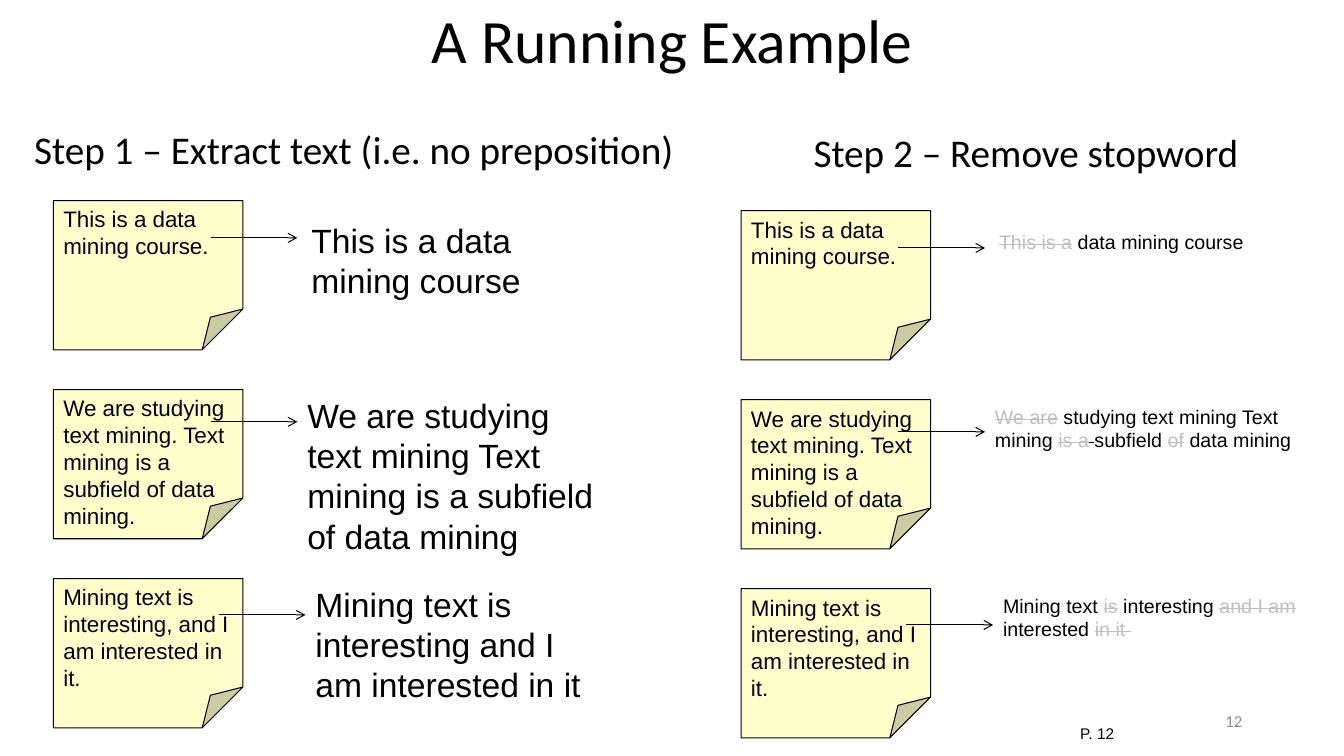
from lxml.etree import SubElement
from pptx import Presentation
from pptx.dml.color import RGBColor
from pptx.enum.shapes import MSO_CONNECTOR, MSO_SHAPE
from pptx.enum.text import MSO_ANCHOR, PP_ALIGN
from pptx.oxml.ns import qn
from pptx.util import Inches, Pt

BLACK = "000000"
KEPT = {"color": BLACK}
DROPPED = {"color": "BFBFBF", "strike": True}
STRUCK_GAP = {"color": BLACK, "strike": True}

GRID_TOP = 1.99
ROW_PITCH = 1.875
COLUMNS = [
    {"left": 0.53, "drop": 0, "size": 24},
    {"left": 7.35, "drop": 0.1, "size": 14},
]
NOTE_WIDTH, NOTE_HEIGHT = 1.88, 1.48
ARROW_LENGTH = 0.86

ROWS = [
    {
        "note": "This is a data mining course.",
        "arrow": (1.56, 0.37),
        "result": (2.46, 0.14),
        "sizes": [(2.99, 0.91), (3.02, 0.4)],
        "extracted": [("This is a data mining course", KEPT)],
        "filtered": [("This is a", DROPPED), (" data mining course", KEPT)],
    },
    {
        "note": "We are studying text mining. Text mining is a subfield of data mining.",
        "arrow": (1.56, 0.32),
        "result": (2.42, 0),
        "sizes": [(3.13, 1.72), (3.32, 0.57)],
        "extracted": [("We are studying text mining Text mining is a subfield of data mining", KEPT)],
        "filtered": [
            ("We are", DROPPED), (" studying text mining Text mining ", KEPT),
            ("is a", DROPPED), (" ", STRUCK_GAP), ("subfield ", KEPT),
            ("of", DROPPED), (" data mining", KEPT),
        ],
    },
    {
        "note": "Mining text is interesting, and I am interested in it.",
        "arrow": (1.64, 0.36),
        "result": (2.5, 0),
        "sizes": [(3.08, 1.31), (3.4, 0.71)],
        "extracted": [("Mining text is interesting and I am interested in it", KEPT)],
        "filtered": [
            ("Mining text ", KEPT), ("is", DROPPED), (" interesting ", KEPT),
            ("and I am ", DROPPED), ("interested ", KEPT), ("in it ", DROPPED),
        ],
    },
]


def rgb(color):
    return RGBColor.from_string(color)


def write(frame, spans, size, name="Arial", **layout):
    frame.word_wrap = True
    frame.vertical_anchor = layout.pop("anchor", MSO_ANCHOR.TOP)
    para = frame.paragraphs[0]
    for key, value in ({"alignment": PP_ALIGN.LEFT} | layout).items():
        setattr(para, key, value)
    for text, style in spans:
        span = para.add_run()
        span.text = text
        for key, value in {"name": name, "size": Pt(size)}.items():
            setattr(span.font, key, value)
        span.font.color.rgb = rgb(style["color"])
        if style.get("strike"):
            span._r.get_or_add_rPr().set("strike", "sngStrike")


def add_text(page, area, spans, size, **layout):
    box = page.shapes.add_textbox(*map(Inches, area))
    write(box.text_frame, spans, size, **layout)


def add_note(page, left, top, text):
    note = page.shapes.add_shape(
        MSO_SHAPE.FOLDED_CORNER, *map(Inches, (left, top, NOTE_WIDTH, NOTE_HEIGHT)))
    fold = note._element.spPr.find(qn("a:prstGeom")).find(qn("a:avLst"))
    SubElement(fold, qn("a:gd"), name="adj", fmla="val 27300")
    note.shadow.inherit = False
    note.fill.solid()
    note.fill.fore_color.rgb = rgb("FFFFCC")
    note.line.color.rgb = rgb(BLACK)
    note.line.width = Pt(0.75)
    write(note.text_frame, [(text, KEPT)], 16)


def add_arrow(page, left, top):
    arrow = page.shapes.add_connector(
        MSO_CONNECTOR.STRAIGHT, *map(Inches, (left, top, left + ARROW_LENGTH, top)))
    arrow.line.color.rgb = rgb(BLACK)
    arrow.line.width = Pt(0.75)
    SubElement(arrow._element.spPr.find(qn("a:ln")), qn("a:tailEnd"), type="arrow")
    SubElement(arrow._element.spPr, qn("a:effectLst"))


def add_step(page, column, result_key, index):
    for number, row in enumerate(ROWS):
        left = column["left"]
        top = GRID_TOP + column["drop"] + number * ROW_PITCH
        add_note(page, left, top, row["note"])
        across, down = row["result"]
        add_text(page, (left + across, top + down, *row["sizes"][index]),
                 row[result_key], column["size"])
        across, down = row["arrow"]
        add_arrow(page, left + across, top + down)


def main():
    deck = Presentation()
    deck.slide_width, deck.slide_height = Inches(13.33), Inches(7.5)
    page = deck.slides.add_slide(deck.slide_layouts[6])

    heading = {"name": "Calibri", "line_spacing": 0.9}
    add_text(page, (1.67, 0.03, 10, 0.8), [("A Running Example", KEPT)], 44,
             alignment=PP_ALIGN.CENTER, anchor=MSO_ANCHOR.MIDDLE, **heading)
    add_text(page, (0.24, 1.25, 9, 4.95),
             [("Step 1 – Extract text (i.e. no preposition)", KEPT)], 28, **heading)
    add_text(page, (7.97, 1.28, 5.22, 4.95),
             [("Step 2 – Remove stopword", KEPT)], 28, **heading)

    for index, result_key in enumerate(("extracted", "filtered")):
        add_step(page, COLUMNS[index], result_key, index)

    add_text(page, (8.82, 7.13, 2.33, 0.37), [("P. 12", KEPT)], 11,
             alignment=PP_ALIGN.RIGHT)
    add_text(page, (9.42, 6.95, 3, 0.4), [("12", {"color": "8C8C8C"})], 12,
             name="Calibri", alignment=PP_ALIGN.RIGHT, anchor=MSO_ANCHOR.MIDDLE)
    deck.save("out.pptx")


if __name__ == "__main__":
    main()
